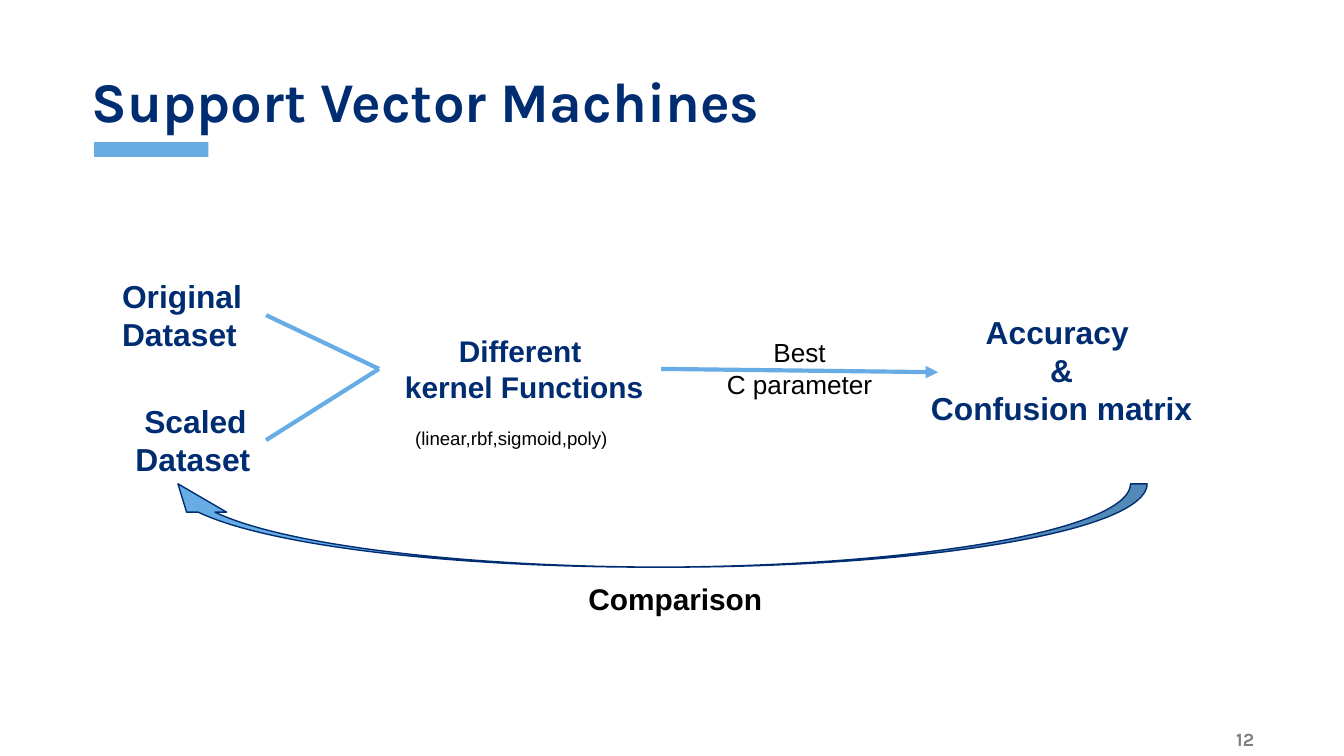
from dataclasses import dataclass

from lxml import etree
from pptx import Presentation
from pptx.dml.color import RGBColor
from pptx.enum.shapes import MSO_CONNECTOR, MSO_SHAPE
from pptx.enum.text import MSO_ANCHOR, MSO_AUTO_SIZE, PP_ALIGN
from pptx.oxml.ns import qn
from pptx.util import Inches, Pt

LEFT, CENTER, RIGHT = PP_ALIGN.LEFT, PP_ALIGN.CENTER, PP_ALIGN.RIGHT
MIDDLE, TOP = MSO_ANCHOR.MIDDLE, MSO_ANCHOR.TOP
NO_FIT = MSO_AUTO_SIZE.NONE
STRAIGHT = MSO_CONNECTOR.STRAIGHT
RECTANGLE, CURVED_ARROW = MSO_SHAPE.RECTANGLE, MSO_SHAPE.CURVED_LEFT_ARROW
LEFT_SIDE, RIGHT_SIDE = 1, 3

NAVY, SKY, BLACK, GRAY, WHITE = "002D72", "68ACE5", "000000", "7F7F7F", "FFFFFF"
COLUMNS = 100  # square cells, so rows have the same height as columns

prs = Presentation()
prs.slide_width = Inches(10)
prs.slide_height = prs.slide_width * 9 // 16
CELL = prs.slide_width / COLUMNS


@dataclass(frozen=True)
class Area:
    """Position and size in grid cells."""
    column: float
    row: float
    columns: float
    rows: float

    def emu(self) -> tuple:
        return tuple(cells(n) for n in (self.column, self.row, self.columns, self.rows))


@dataclass(frozen=True)
class Label:
    area: Area
    lines: tuple
    size: float
    color: str = NAVY
    bold: bool = True
    align: PP_ALIGN = CENTER
    font: str = "Arial"
    anchor: MSO_ANCHOR = TOP
    inset: float = 1


def cells(count: float) -> int:
    return round(count * CELL)


def rgb(color: str) -> RGBColor:
    return RGBColor.from_string(color)


def write(shape, label: Label, line_spacing: float = 1.0) -> None:
    frame = shape.text_frame
    frame.word_wrap = True
    frame.auto_size = NO_FIT
    frame.vertical_anchor = label.anchor
    frame.margin_left = frame.margin_right = cells(1)
    frame.margin_top = frame.margin_bottom = cells(label.inset)
    for index, line in enumerate(label.lines):
        paragraph = frame.paragraphs[0] if index == 0 else frame.add_paragraph()
        paragraph.alignment = label.align
        paragraph.line_spacing = line_spacing
        run = paragraph.add_run()
        run.text = line
        run.font.name, run.font.size, run.font.bold = label.font, Pt(label.size), label.bold
        run.font.color.rgb = rgb(label.color)


def add_label(slide, label: Label):
    box = slide.shapes.add_textbox(*label.area.emu())
    write(box, label)
    return box


def add_filled(slide, kind, area: Area, outline: str = ""):
    shape = slide.shapes.add_shape(kind, *area.emu())
    shape.shadow.inherit = False
    shape.fill.solid()
    shape.fill.fore_color.rgb = rgb(SKY)
    if outline:
        shape.line.color.rgb = rgb(outline)
        shape.line.width = Pt(0.75)
    else:
        shape.line.fill.background()
    return shape


def add_link(slide, source, target=None, tip: tuple = (0, 0)):
    """Link the right side of source to the left side of target, or to a free tip."""
    link = slide.shapes.add_connector(STRAIGHT, 0, 0, *(cells(n) for n in tip))
    link.begin_connect(source, RIGHT_SIDE)
    if target is not None:
        link.end_connect(target, LEFT_SIDE)
    link.line.color.rgb = rgb(SKY)
    link.line.width = Pt(2.25)
    etree.SubElement(link._element.spPr, qn("a:effectLst"))
    return link


def add_arrowhead(link) -> None:
    etree.SubElement(link.line._get_or_add_ln(), qn("a:tailEnd"), type="triangle")


TITLE = Label(Area(5.8, 5, 89.2, 5.6), ("Support Vector Machines",), 30,
              align=LEFT, font="Karla", anchor=MIDDLE, inset=0.5)
PAGE_NUMBER = Label(Area(86.3, 54, 8, 1.9), ("12",), 10, GRAY,
                    align=RIGHT, font="Karla", anchor=MIDDLE, inset=0)
ORIGINAL = Label(Area(8.1, 19.6, 11.7, 7.7), ("Original", "Dataset"), 17, align=LEFT)
SCALED = Label(Area(9.1, 28.9, 10.7, 7.7), (" Scaled", "Dataset"), 17, align=LEFT)
RESULTS = Label(Area(67, 22.25, 24, 10.6), ("Accuracy ", "&", "Confusion matrix"), 17)
KERNELS = Label(Area(28.2, 23.75, 21, 7.4), ("Different", " kernel Functions"), 16)
KERNEL_LIST = Label(Area(29.9, 30.8, 23.4, 3.7), ("(linear,rbf,sigmoid,poly)",), 10,
                    BLACK, bold=False, align=LEFT)
PARAMETER = Label(Area(51.3, 24.05, 16.4, 6.7), ("Best", "C parameter"), 14, BLACK, bold=False)
COMPARISON = Label(Area(42.8, 42.2, 15.5, 4.7), ("Comparison",), 16, BLACK, align=LEFT)

slide = prs.slides.add_slide(prs.slide_layouts[5])
slide.background.fill.solid()
slide.background.fill.fore_color.rgb = rgb(WHITE)

add_filled(slide, RECTANGLE, Area(7, 10.57, 8.5, 1.1))
add_label(slide, PAGE_NUMBER)
title = slide.shapes.title
title.left, title.top, title.width, title.height = TITLE.area.emu()
write(title, TITLE, line_spacing=0.9)

datasets = [add_label(slide, label) for label in (ORIGINAL, SCALED)]
add_label(slide, RESULTS)
kernels = add_label(slide, KERNELS)
for dataset in datasets:
    add_link(slide, dataset, kernels)
add_label(slide, KERNEL_LIST)
add_arrowhead(add_link(slide, kernels, tip=(69.8, 27.7)))
add_label(slide, PARAMETER)

return_arrow = add_filled(slide, CURVED_ARROW, Area(45.45, 2.3, 6.2, 73.6), NAVY)
return_arrow.rotation = 90
for index, share in enumerate((0.2, 0.48, 0.34)):
    return_arrow.adjustments[index] = share
add_label(slide, COMPARISON)

prs.save("out.pptx")
